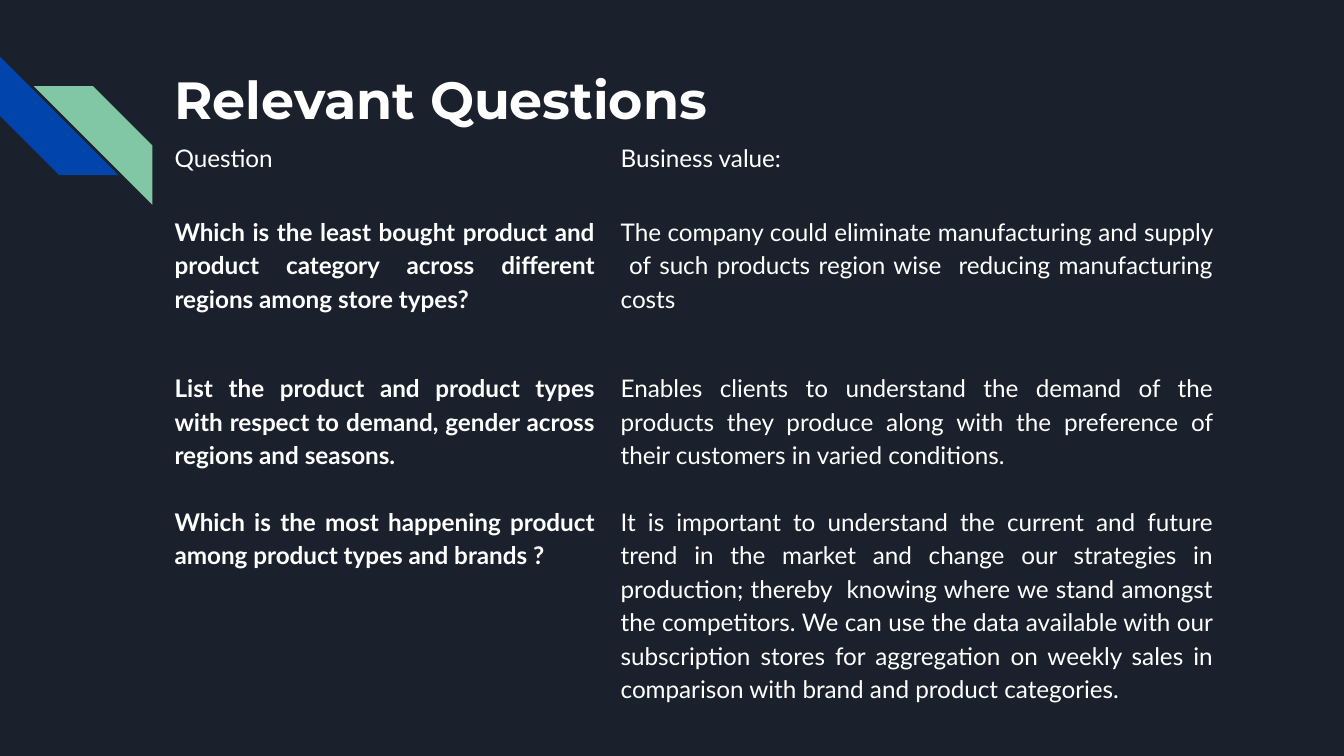
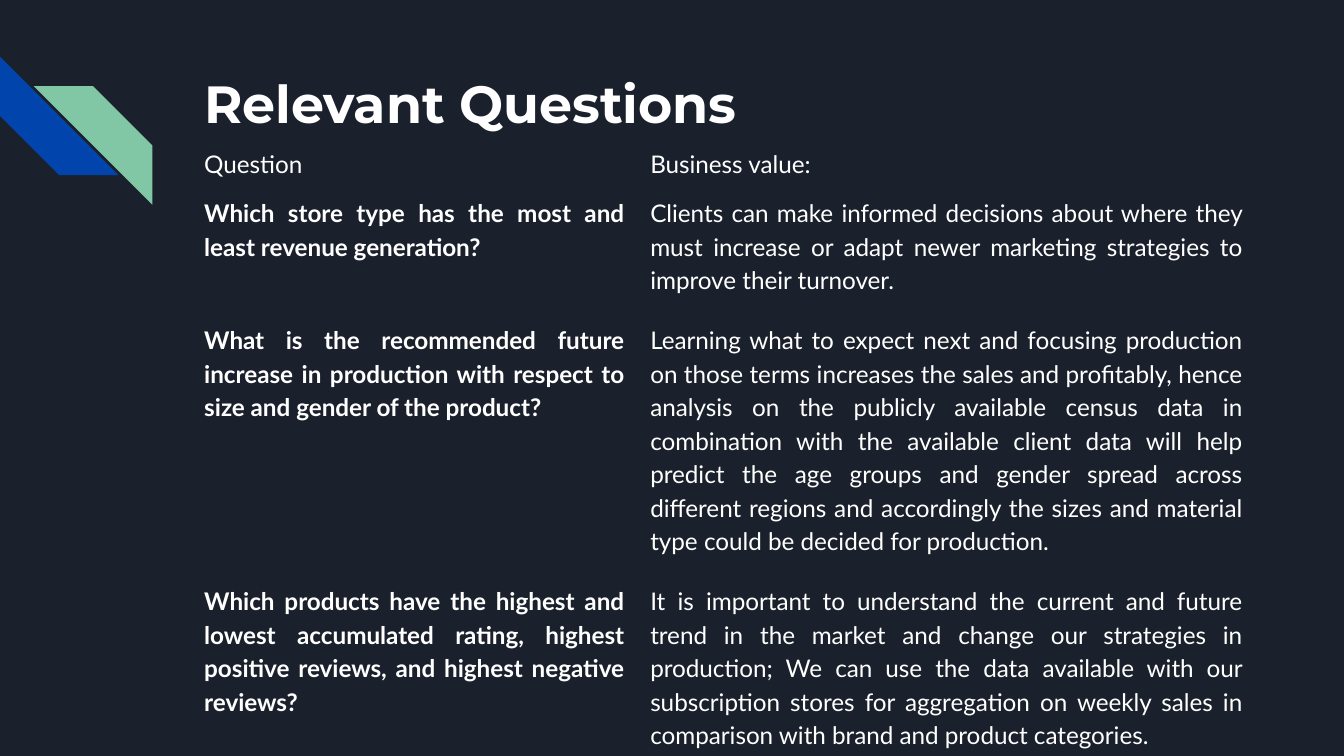
from lxml import etree
from pptx import Presentation
from pptx import util as u
from pptx.dml import color
from pptx.enum import shapes, text
from pptx.oxml import ns

COLORS = {"night": "1B212C", "blue": "0145AC", "green": "82C7A5", "white": "FFFFFF"}
COLUMNS = (8.43, 11.68)
MARGIN = 0.25
HEADINGS = [("Question", "Business value:")]

SLIDES = [
    dict(
        left=3.05, title_top=1.02, heading_top=2.39, body_top=3.78,
        heights=(2.95, 2.53, 1.09), after=0,
        questions=[
            ("Which is the least bought product and product category across different regions among store types?",
             "The company could eliminate manufacturing and supply  of such products region wise  "
             "reducing manufacturing costs"),
            ("List the product and product types with respect to demand, gender across regions and seasons.",
             "Enables clients to understand the demand of the products they produce along with the "
             "preference of their customers in varied conditions."),
            ("Which is the most happening product among product types and brands ?",
             "It is important to understand the current and future trend in the market and change our "
             "strategies in production; thereby  knowing where we stand amongst the competitors. We can "
             "use the data available with our subscription stores for aggregation on weekly sales in "
             "comparison with brand and product categories."),
        ],
    ),
    dict(
        left=3.61, title_top=1.09, heading_top=2.49, body_top=3.43,
        heights=(2.4, 4.55, 1.09), after=16,
        questions=[
            ("Which store type has the most and least revenue generation?",
             "Clients can make informed decisions about where they must increase or adapt newer "
             "marketing strategies to improve their turnover."),
            ("What is the recommended future increase in production with respect to size and gender of the product?",
             "Learning what to expect next and focusing production on those terms increases the sales "
             "and profitably, hence analysis on the publicly available census data in combination with "
             "the available client data will help predict the age groups and gender spread across "
             "different regions and accordingly the sizes and material type could be decided for production."),
            ("Which products have the highest and lowest accumulated rating, highest positive reviews, "
             "and highest negative reviews?",
             "It is important to understand the current and future trend in the market and change our "
             "strategies in production; We can use the data available with our subscription stores for "
             "aggregation on weekly sales in comparison with brand and product categories."),
        ],
    ),
]


def write(frame, content, font="Lato", size=13, bold=False, align=text.PP_ALIGN.LEFT, spacing=1.15, after=0):
    paragraph = frame.paragraphs[0]
    paragraph.alignment = align
    paragraph.line_spacing = spacing
    paragraph.space_after = u.Pt(after)
    run = paragraph.add_run()
    run.text = content
    run.font.name = font
    run.font.size = u.Pt(size)
    run.font.bold = bold
    run.font.color.rgb = color.RGBColor.from_string(COLORS["white"])


def set_margins(holder):
    for side in ("left", "top", "right", "bottom"):
        setattr(holder, f"margin_{side}", u.Cm(MARGIN))


class Deck:
    def __init__(self):
        self.prs = Presentation()
        self.prs.slide_width = u.Cm(25.4)
        self.prs.slide_height = u.Cm(14.29)
        self.slide = None

    def new_slide(self):
        self.slide = self.prs.slides.add_slide(self.prs.slide_layouts[6])
        fill = self.slide.background.fill
        fill.solid()
        fill.fore_color.rgb = color.RGBColor.from_string(COLORS["night"])
        self.stripe(0, 1.07, 270, "blue")
        self.stripe(0.64, 1.63, 90, "green")

    def stripe(self, left, top, rotation, hue):
        band = self.slide.shapes.add_shape(
            shapes.MSO_SHAPE.DIAGONAL_STRIPE, u.Cm(left), u.Cm(top), u.Cm(2.24), u.Cm(2.24))
        band.adjustments[0] = 0.5
        band.rotation = rotation
        band.shadow.inherit = False
        band.fill.solid()
        band.fill.fore_color.rgb = color.RGBColor.from_string(COLORS[hue])
        band.line.fill.background()

    def title(self, content, left, top):
        frame = self.slide.shapes.add_textbox(u.Cm(left), u.Cm(top), u.Cm(19.56), u.Cm(2.54)).text_frame
        frame.word_wrap = True
        set_margins(frame)
        write(frame, content, font="Montserrat", size=28, bold=True, spacing=1.0)

    def table(self, rows, left, top, heights, bold_first=False, **fmt):
        grid = self.slide.shapes.add_table(
            len(rows), len(COLUMNS), u.Cm(left), u.Cm(top), u.Cm(sum(COLUMNS)), u.Cm(sum(heights))).table
        grid.first_row = grid.horz_banding = False
        for column, width in zip(grid.columns, COLUMNS):
            column.width = u.Cm(width)
        for r, (row, height) in enumerate(zip(rows, heights)):
            grid.rows[r].height = u.Cm(height)
            for c, content in enumerate(row):
                cell = grid.cell(r, c)
                self.clear(cell)
                set_margins(cell)
                write(cell.text_frame, content, bold=bold_first and c == 0, **fmt)

    def clear(self, cell):
        properties = cell._tc.get_or_add_tcPr()
        for edge in ("a:lnL", "a:lnR", "a:lnT", "a:lnB"):
            border = etree.SubElement(properties, ns.qn(edge))
            etree.SubElement(border, ns.qn("a:noFill"))
        cell.fill.background()


def main():
    deck = Deck()
    for page in SLIDES:
        deck.new_slide()
        deck.title("Relevant Questions", page["left"], page["title_top"])
        deck.table(HEADINGS, page["left"], page["heading_top"], (0.97,))
        deck.table(page["questions"], page["left"], page["body_top"], page["heights"],
                   bold_first=True, align=text.PP_ALIGN.JUSTIFY, after=page["after"])
    deck.prs.save("out.pptx")


if __name__ == "__main__":
    main()
